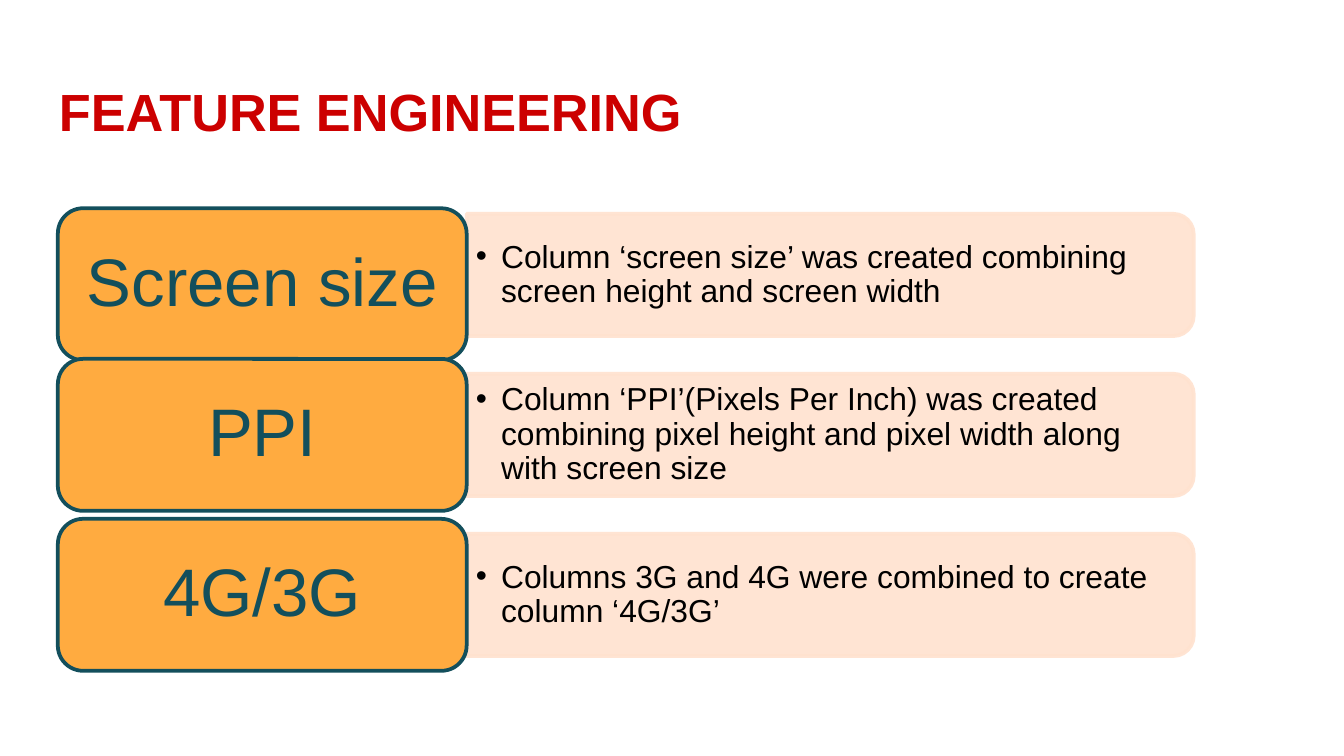
from dataclasses import dataclass

from lxml.etree import SubElement
from pptx import Presentation
from pptx.dml.color import RGBColor
from pptx.enum.shapes import MSO_SHAPE
from pptx.enum.text import MSO_ANCHOR, PP_ALIGN
from pptx.oxml.ns import qn
from pptx.util import Pt


@dataclass(frozen=True)
class Theme:
    """Colours, font and type sizes of the slide."""

    font: str = "Arial"
    title_color: str = "CC0000"
    label_fill: str = "FFAB40"
    label_color: str = "134F5C"
    panel_fill: str = "FFE2CF"
    body_color: str = "000000"
    title_size: int = 28
    label_size: int = 36
    body_size: int = 17


THEME = Theme()
FEATURES = [
    ("Screen size", "Column ‘screen size’ was created combining screen height and screen width"),
    ("PPI", "Column ‘PPI’(Pixels Per Inch) was created combining pixel height and pixel width along with screen size"),
    ("4G/3G", "Columns 3G and 4G were combined to create column ‘4G/3G’"),
]


def add_text(slide, text, left, top, width, height, *, size, color, bold=False,
             align=PP_ALIGN.LEFT, anchor=MSO_ANCHOR.MIDDLE, margins=(5, 3),
             line_spacing=None, bullet_indent=None):
    """Add a wrapped text box with one formatted paragraph."""
    box = slide.shapes.add_textbox(Pt(left), Pt(top), Pt(width), Pt(height))
    frame = box.text_frame
    frame.word_wrap = True
    frame.vertical_anchor = anchor
    frame.margin_left = frame.margin_right = Pt(margins[0])
    frame.margin_top = frame.margin_bottom = Pt(margins[1])
    paragraph = frame.paragraphs[0]
    paragraph.alignment = align
    paragraph.line_spacing = line_spacing
    run = paragraph.add_run()
    run.text = text
    run.font.name = THEME.font
    run.font.size = Pt(size)
    run.font.bold = bold
    run.font.color.rgb = RGBColor.from_string(color)
    if bullet_indent:
        properties = paragraph._p.get_or_add_pPr()
        properties.set("marL", str(Pt(bullet_indent)))
        properties.set("indent", str(-Pt(bullet_indent)))
        SubElement(properties, qn("a:buFont"), typeface=THEME.font)
        SubElement(properties, qn("a:buChar"), char="•")


def add_block(slide, kind, left, top, width, height, *, fill, line, opacity=100):
    """Add a filled and outlined preset shape."""
    shape = slide.shapes.add_shape(kind, Pt(left), Pt(top), Pt(width), Pt(height))
    shape.shadow.inherit = False
    shape.fill.solid()
    shape.fill.fore_color.rgb = RGBColor.from_string(fill)
    shape.line.color.rgb = RGBColor.from_string(line)
    shape.line.width = Pt(2)
    if opacity < 100:
        for color in shape._element.spPr.iter(qn("a:srgbClr")):
            SubElement(color, qn("a:alpha"), val=str(opacity * 1000))
    return shape


def add_title(slide, text, left, top, width, height):
    """Place the slide title in its box."""
    add_text(slide, text, left, top, width, height, size=THEME.title_size,
             color=THEME.title_color, bold=True, anchor=MSO_ANCHOR.TOP, margins=(7.2, 7.2))


def add_panel(slide, text, left, top, width, height):
    """Place a panel rounded on its right side, with a bullet over it."""
    shift = (width - height) / 2
    panel = add_block(slide, MSO_SHAPE.ROUND_2_SAME_RECTANGLE, left + shift, top - shift,
                      height, width, fill=THEME.panel_fill, line=THEME.panel_fill, opacity=90)
    panel.rotation = 90
    add_text(slide, text, left, top + 3.2, width - 3.2, height - 6.4, size=THEME.body_size,
             color=THEME.body_color, line_spacing=0.9, bullet_indent=13.5)


def add_label(slide, text, left, top, width, height):
    """Place a rounded label with its centred name."""
    inset = 4
    add_block(slide, MSO_SHAPE.ROUNDED_RECTANGLE, left, top, width, height,
              fill=THEME.label_fill, line=THEME.label_color)
    add_text(slide, text, left + inset, top + inset, width - 2 * inset, height - 2 * inset,
             size=THEME.label_size, color=THEME.label_color, align=PP_ALIGN.CENTER,
             margins=(10.5, 5), line_spacing=0.9)


def add_features(slide, features, left, top, width, height):
    """Stack the feature rows at an even pitch, the first label set slightly lower."""
    label_width, label_height, panel_height = 219, 81.4, 65.5
    pitch = (height - label_height) / (len(features) - 1)
    for index, (name, description) in enumerate(features):
        row_top = top + index * pitch
        label_top = row_top + (5 if index == 0 else 0)
        add_panel(slide, description, left + label_width,
                  row_top + (label_height - panel_height) / 2, width - label_width, panel_height)
        add_label(slide, name, left, label_top, label_width, label_height)


def main():
    """Build and save the presentation."""
    presentation = Presentation()
    presentation.slide_width = Pt(720)
    presentation.slide_height = Pt(405)
    slide = presentation.slides.add_slide(presentation.slide_layouts[6])
    add_title(slide, "FEATURE ENGINEERING", 24.5, 35, 671, 45)
    add_features(slide, FEATURES, 31, 106.6, 608.5, 252.8)
    presentation.save("out.pptx")


if __name__ == "__main__":
    main()
